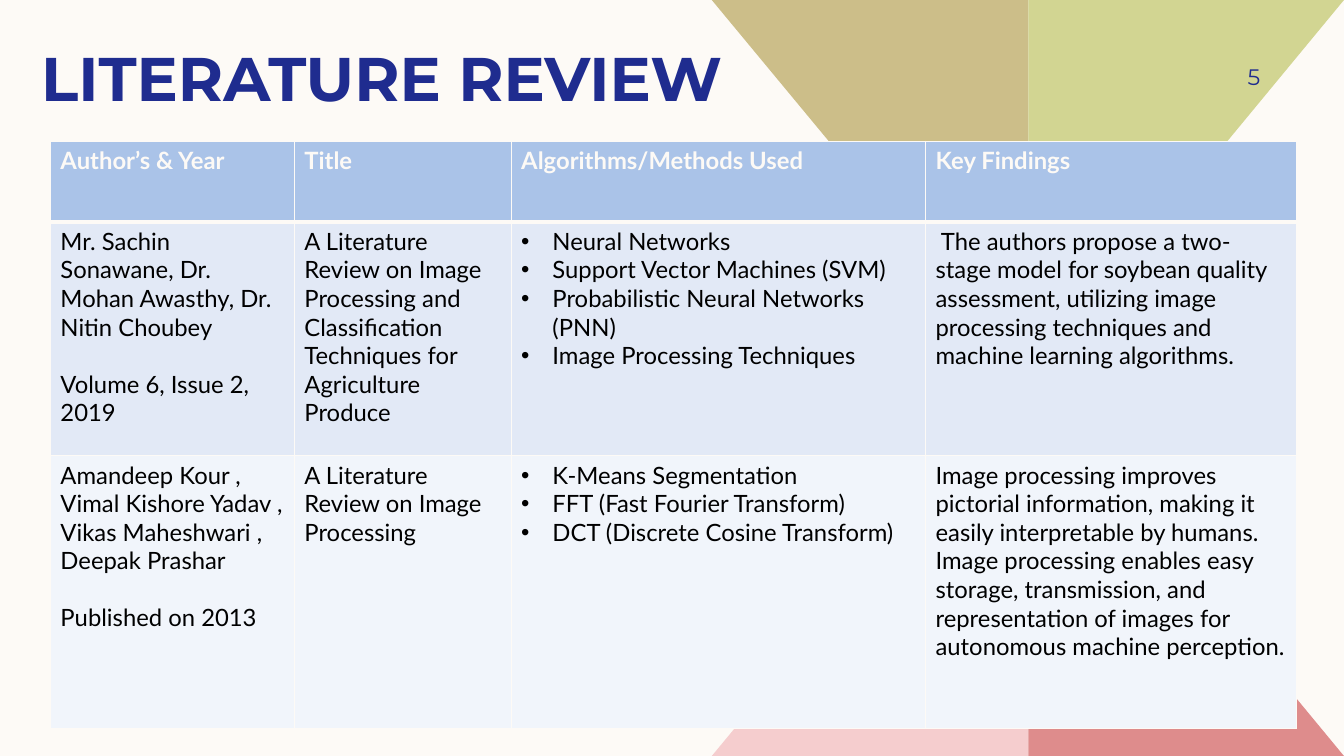
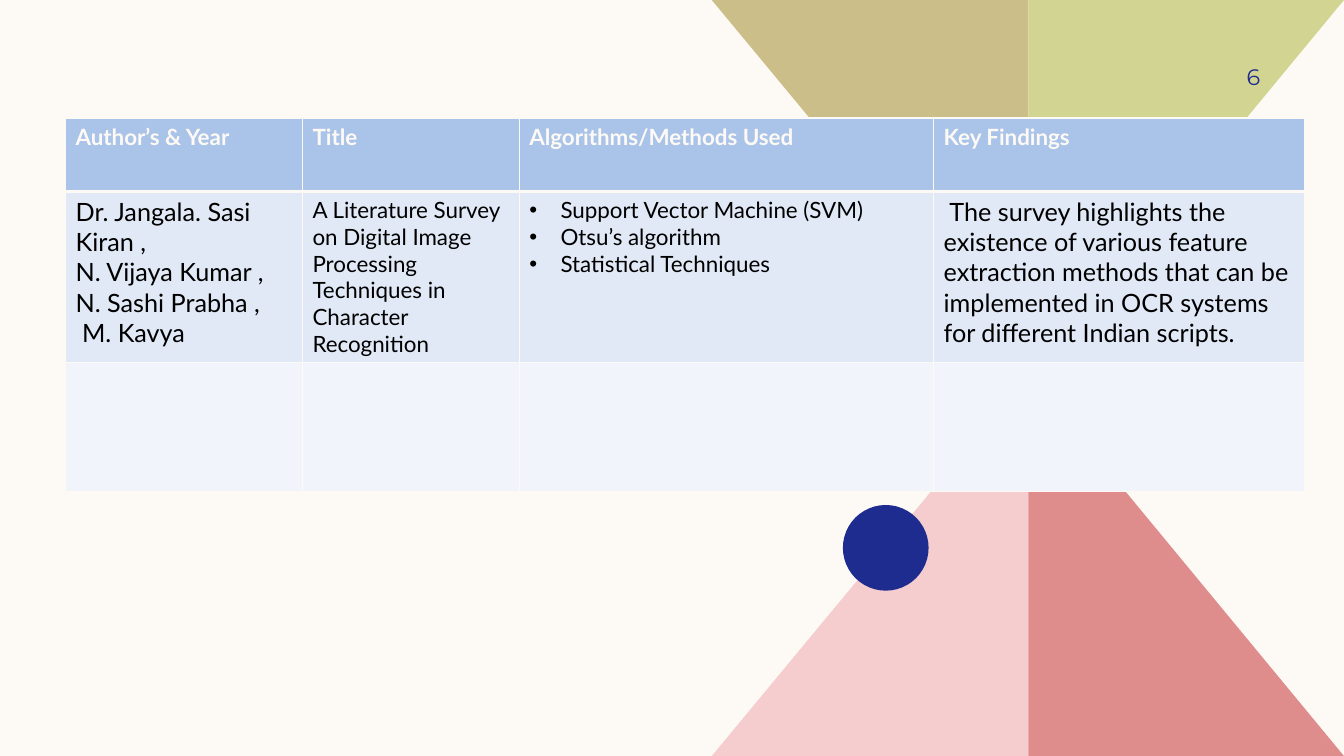
"""Build two literature review slides with a shared backdrop and table style."""
import pptx
import pptx.dml.color
import pptx.enum.shapes
import pptx.enum.text
import pptx.oxml.ns
import pptx.util
from lxml import etree

RGBColor = pptx.dml.color.RGBColor
CREAM = RGBColor(0xFD, 0xFA, 0xF6)
NAVY = RGBColor(0x1F, 0x2C, 0x8F)
PINK = RGBColor(0xF5, 0xCD, 0xCE)
ROSE = RGBColor(0xDE, 0x8C, 0x8C)
LIME = RGBColor(0xD2, 0xD5, 0x92)
SAND = RGBColor(0xCC, 0xBE, 0x89)
BLACK = RGBColor(0x00, 0x00, 0x00)
HEADER_FILL = RGBColor(0xAA, 0xC3, 0xE8)
BODY_FILLS = (RGBColor(0xE2, 0xE9, 0xF6), RGBColor(0xF1, 0xF5, 0xFB))

EMU_PER_PX = 9144
SLIDE_WIDTH, SLIDE_HEIGHT = 1333, 750
TITLE_FONT, TABLE_FONT = "Montserrat", "Lato"
BULLET_INDENT = 31
METHODS_COLUMN = 2

HEADERS = ("Author’s & Year", "Title", "Algorithms/Methods Used", "Key Findings")

FIRST_STUDIES = (
    (
        ("Mr. Sachin Sonawane, Dr. Mohan Awasthy, Dr. Nitin Choubey",
         "Volume 6, Issue 2, 2019"),
        ("A Literature Review on Image Processing and Classification",
         "Techniques for Agriculture Produce"),
        ("Neural Networks", "Support Vector Machines (SVM)",
         "Probabilistic Neural Networks (PNN)", "Image Processing Techniques"),
        (" The authors propose a two-stage model for soybean quality assessment, "
         "utilizing image processing techniques and machine learning algorithms.",),
    ),
    (
        ("Amandeep Kour , Vimal Kishore Yadav , Vikas Maheshwari , Deepak Prashar",
         "Published on 2013"),
        ("A Literature Review on Image Processing",),
        ("K-Means Segmentation", "FFT (Fast Fourier Transform)",
         "DCT (Discrete Cosine Transform)"),
        ("Image processing improves pictorial information, making it easily "
         "interpretable by humans.",
         "Image processing enables easy storage, transmission, and representation "
         "of images for autonomous machine perception."),
    ),
)

SECOND_STUDIES = (
    (
        ("Dr. Jangala. Sasi Kiran ,", "N. Vijaya Kumar , N. Sashi Prabha ,",
         " M. Kavya"),
        ("A Literature Survey on Digital Image Processing",
         "Techniques in Character Recognition"),
        ("Support Vector Machine (SVM)", "Otsu’s algorithm",
         "Statistical Techniques"),
        (" The survey highlights the existence of various feature extraction "
         "methods that can be implemented in OCR systems for different Indian "
         "scripts.",),
    ),
    ((), (), (), ()),
)


def px(length):
    return pptx.util.Emu(length * EMU_PER_PX)


def add_run(paragraph, text, font_name, size, color, bold=False):
    run = paragraph.add_run()
    run.text = text
    run.font.name = font_name
    run.font.size = pptx.util.Pt(size)
    run.font.bold = bold
    run.font.color.rgb = color


def paint(shape, color):
    shape.shadow.inherit = False
    shape.fill.solid()
    shape.fill.fore_color.rgb = color
    shape.line.fill.background()


def add_triangle(slide, points, color):
    builder = slide.shapes.build_freeform(*points[0], scale=EMU_PER_PX)
    builder.add_line_segments(points[1:], close=True)
    paint(builder.convert_to_shape(), color)


def add_backdrop(slide):
    left, middle, height = 706, 1020, 379
    for base, apex, left_color, right_color in (
        (SLIDE_HEIGHT, SLIDE_HEIGHT - height, PINK, ROSE),
        (0, height, SAND, LIME),
    ):
        for corner, color in ((left, left_color), (SLIDE_WIDTH, right_color)):
            add_triangle(slide, ((middle, apex), (corner, base), (middle, base)), color)
    dot = slide.shapes.add_shape(
        pptx.enum.shapes.MSO_SHAPE.OVAL, px(836), px(501), px(85), px(85))
    paint(dot, NAVY)


def add_label(slide, box, text, size, anchor, alignment, margins, bold=False):
    label = slide.shapes.add_textbox(*map(px, box))
    frame = label.text_frame
    frame.word_wrap = True
    frame.vertical_anchor = anchor
    frame.margin_left, frame.margin_top, frame.margin_right, frame.margin_bottom = map(
        px, margins)
    paragraph = frame.paragraphs[0]
    paragraph.alignment = alignment
    add_run(paragraph, text, TITLE_FONT, size, NAVY, bold)


def add_title(slide, text):
    add_label(slide, (31, 22, 818, 91), text, 44, pptx.enum.text.MSO_ANCHOR.BOTTOM,
              pptx.enum.text.PP_ALIGN.LEFT, (10, 0, 10, 0), bold=True)


def add_page_number(slide, number):
    add_label(slide, (1133, 50, 117, 52), str(number), 16,
              pptx.enum.text.MSO_ANCHOR.MIDDLE, pptx.enum.text.PP_ALIGN.RIGHT,
              (10, 5, 0, 5))


def add_bullet(paragraph):
    properties = paragraph._p.get_or_add_pPr()
    properties.set("marL", str(px(BULLET_INDENT)))
    properties.set("indent", str(-px(BULLET_INDENT)))
    font = etree.SubElement(properties, pptx.oxml.ns.qn("a:buFont"))
    font.set("typeface", "Arial")
    bullet = etree.SubElement(properties, pptx.oxml.ns.qn("a:buChar"))
    bullet.set("char", "•")


def set_borders(cell, top, bottom):
    properties = cell._tc.get_or_add_tcPr()
    sides = (("a:lnL", 1), ("a:lnR", 1), ("a:lnT", top), ("a:lnB", bottom))
    for position, (tag, width) in enumerate(sides):
        line = etree.Element(pptx.oxml.ns.qn(tag))
        line.set("w", str(pptx.util.Pt(width)))
        fill = etree.SubElement(line, pptx.oxml.ns.qn("a:solidFill"))
        color = etree.SubElement(fill, pptx.oxml.ns.qn("a:srgbClr"))
        color.set("val", str(CREAM))
        properties.insert(position, line)


def fill_cell(cell, texts, size, is_header, bulleted, gap):
    for index, text in enumerate(texts):
        frame = cell.text_frame
        paragraph = frame.add_paragraph() if index else frame.paragraphs[0]
        if index and gap:
            paragraph.space_before = pptx.util.Pt(gap)
        if bulleted:
            add_bullet(paragraph)
        add_run(paragraph, text, TABLE_FONT, size,
                CREAM if is_header else BLACK, is_header)


def add_review_table(slide, origin, widths, heights, studies, header_size,
                     body_sizes, citation_gap=0):
    rows = (tuple((header,) for header in HEADERS),) + studies
    frame = slide.shapes.add_table(
        len(rows), len(widths), *map(px, (*origin, sum(widths), sum(heights))))
    table = frame.table
    for column, width in zip(table.columns, widths):
        column.width = px(width)
    for row_index, (texts_by_column, height) in enumerate(zip(rows, heights)):
        table.rows[row_index].height = px(height)
        is_header = row_index == 0
        row_fill = HEADER_FILL if is_header else BODY_FILLS[row_index - 1]
        for column_index, texts in enumerate(texts_by_column):
            cell = table.cell(row_index, column_index)
            cell.fill.solid()
            cell.fill.fore_color.rgb = row_fill
            set_borders(cell, top=3 if row_index == 1 else 1,
                        bottom=3 if is_header else 1)
            fill_cell(cell, texts,
                      header_size if is_header else body_sizes[column_index],
                      is_header,
                      bulleted=column_index == METHODS_COLUMN and not is_header,
                      gap=citation_gap if column_index == 0 else 0)


def add_review_slide(presentation, number, title=None, **table_options):
    slide = presentation.slides.add_slide(presentation.slide_layouts[6])
    add_backdrop(slide)
    if title:
        add_title(slide, title)
    add_review_table(slide, **table_options)
    add_page_number(slide, number)


def main():
    presentation = pptx.Presentation()
    presentation.slide_width = px(SLIDE_WIDTH)
    presentation.slide_height = px(SLIDE_HEIGHT)
    background = presentation.slide_master.background.fill
    background.solid()
    background.fore_color.rgb = CREAM
    add_review_slide(
        presentation, 5, "LITERATURE REVIEW", origin=(50, 140),
        widths=(242, 215, 411, 368), heights=(80, 232, 271),
        studies=FIRST_STUDIES, header_size=17, body_sizes=(17,) * 4,
        citation_gap=20.4)
    add_review_slide(
        presentation, 6, origin=(65, 117),
        widths=(235, 215, 411, 368), heights=(73, 170, 128),
        studies=SECOND_STUDIES, header_size=16, body_sizes=(18, 16, 16, 18))
    presentation.save("out.pptx")


if __name__ == "__main__":
    main()
